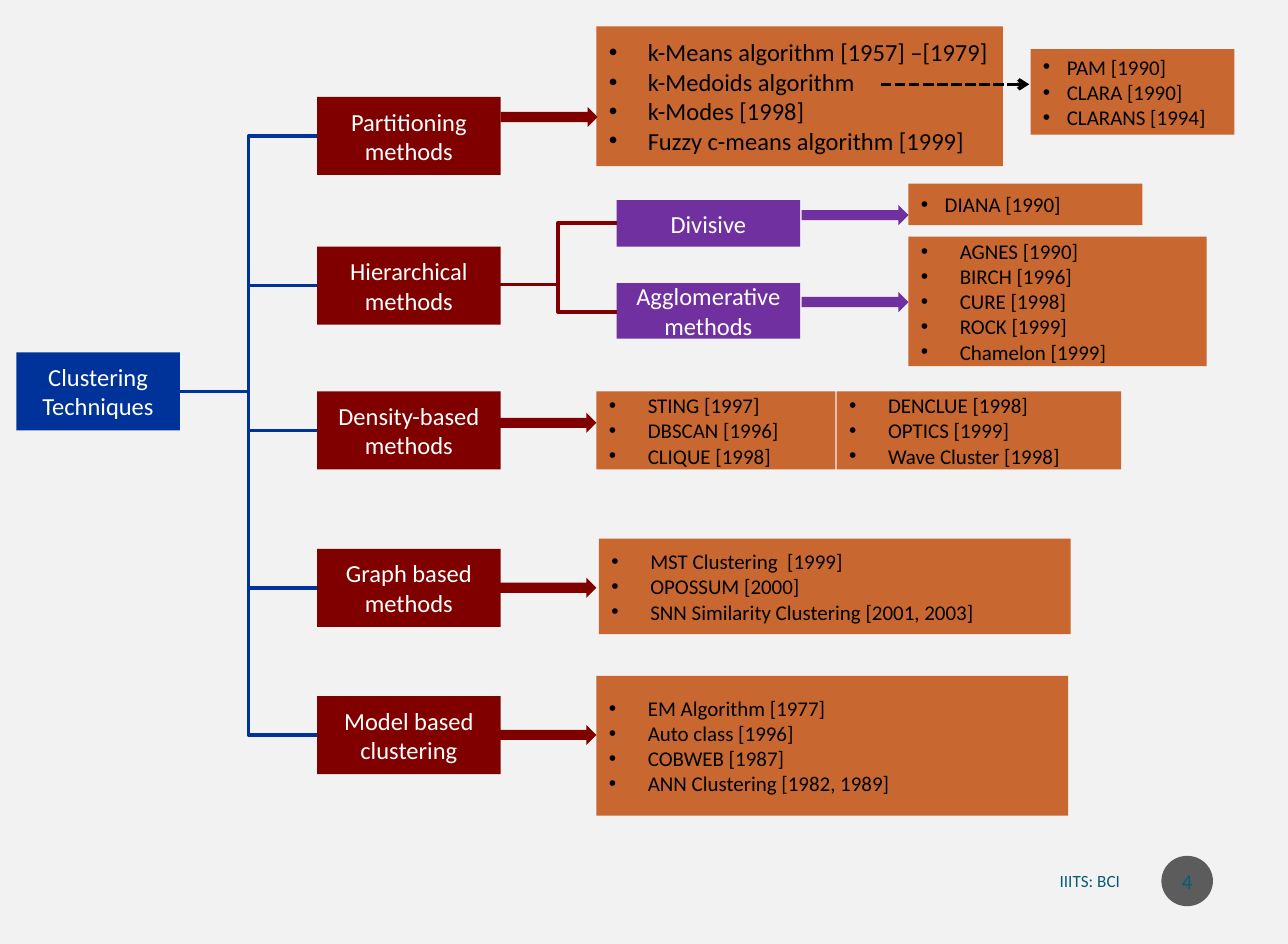
import pptx
import pptx.util
import pptx.dml.color
import pptx.enum.dml
import pptx.enum.shapes
import pptx.enum.text
import pptx.oxml.ns
import lxml.etree

Inches, Pt, qn = pptx.util.Inches, pptx.util.Pt, pptx.oxml.ns.qn
RGBColor = pptx.dml.color.RGBColor
MSO_SHAPE = pptx.enum.shapes.MSO_SHAPE
MSO_CONNECTOR = pptx.enum.shapes.MSO_CONNECTOR
PP_ALIGN = pptx.enum.text.PP_ALIGN

PAGE = RGBColor(0xF2, 0xF2, 0xF2)
BLUE = RGBColor(0x00, 0x33, 0x99)
MAROON = RGBColor(0x80, 0x00, 0x00)
PURPLE = RGBColor(0x70, 0x30, 0xA0)
ORANGE = RGBColor(0xC9, 0x67, 0x31)
TEAL = RGBColor(0x04, 0x5D, 0x75)
DARK = RGBColor(0x1D, 0x1D, 0x1D)
WHITE = RGBColor(0xFF, 0xFF, 0xFF)
BLACK = RGBColor(0x00, 0x00, 0x00)

# The page is 26 cm wide
prs = pptx.Presentation()
prs.slide_width, prs.slide_height = Inches(26 / 2.54), Inches(7.5)
s = prs.slides.add_slide(prs.slide_layouts[6])
s.background.fill.solid()
s.background.fill.fore_color.rgb = PAGE


def add_box(kind, at, fill, lines=(), size=14, color=WHITE, indent=None):
    """Add a filled shape; an indent turns its lines into a bulleted list."""
    sp = s.shapes.add_shape(kind, *map(Inches, at))
    sp.shadow.inherit = False
    sp.fill.solid()
    sp.fill.fore_color.rgb = fill
    sp.line.fill.background()
    tf = sp.text_frame
    tf.word_wrap = True
    for i, line in enumerate(lines):
        p = tf.add_paragraph() if i else tf.paragraphs[0]
        p.alignment = PP_ALIGN.LEFT if indent else PP_ALIGN.CENTER
        if indent:
            pPr = p._p.get_or_add_pPr()
            pPr.set("marL", str(Inches(indent)))
            pPr.set("indent", str(-Inches(indent)))
            lxml.etree.SubElement(pPr, qn("a:buFont")).set("typeface", "Arial")
            lxml.etree.SubElement(pPr, qn("a:buChar")).set("char", "•")
        r = p.add_run()
        r.text = line
        r.font.name, r.font.size = "Calibri", Pt(size)
        r.font.color.rgb = color
    return sp


def add_line(kind, start, end, color):
    """Add a 2 pt connector without a shadow."""
    cx = s.shapes.add_connector(kind, *map(Inches, start + end))
    cx.line.color.rgb = color
    cx.line.width = Pt(2)
    lxml.etree.SubElement(cx._element.spPr, qn("a:effectLst"))
    return cx


# Footer and slide number
tb = s.shapes.add_textbox(Inches(6.69), Inches(6.82), Inches(2.31), Inches(0.35))
tf = tb.text_frame
tf.word_wrap = True
tf.vertical_anchor = pptx.enum.text.MSO_ANCHOR.MIDDLE
p = tf.paragraphs[0]
p.alignment = PP_ALIGN.RIGHT
r = p.add_run()
r.text = "IIITS: BCI"
r.font.name, r.font.size = "Calibri", Pt(9.8)
r.font.color.rgb = TEAL

badge = add_box(MSO_SHAPE.OVAL, (9.23, 6.8, 0.41, 0.4), DARK, ["4"], 12, TEAL)
badge.text_frame.margin_left = badge.text_frame.margin_right = 0
badge_color = badge._element.spPr.find(qn("a:solidFill")).find(qn("a:srgbClr"))
lxml.etree.SubElement(badge_color, qn("a:alpha")).set("val", "70000")

# Root and the five method families
add_box(MSO_SHAPE.RECTANGLE, (0.13, 2.8, 1.3, 0.62), BLUE, ["Clustering Techniques"])
families = [
    ("Partitioning methods", 0.77),
    ("Hierarchical methods", 1.96),
    ("Density-based methods", 3.11),
    ("Graph based methods", 4.36),
    ("Model based clustering", 5.53),
]
for name, top in families:
    add_box(MSO_SHAPE.RECTANGLE, (2.52, top, 1.46, 0.62), MAROON, [name])

# Hierarchical branches
for name, top, height in [("Divisive", 1.59, 0.37), ("Agglomerative methods", 2.25, 0.44)]:
    add_box(MSO_SHAPE.RECTANGLE, (4.9, top, 1.46, height), PURPLE, [name])

# Algorithm lists: position, text size, indent, items
algorithms = [
    ((4.74, 0.21, 3.23, 1.11), 14, 0.31,
     ["k-Means algorithm [1957] –[1979]", "k-Medoids algorithm",
      "k-Modes [1998]", "Fuzzy c-means algorithm [1999]"]),
    ((4.74, 3.11, 1.9, 0.62), 12, 0.31,
     ["STING [1997]", "DBSCAN [1996]", "CLIQUE [1998]"]),
    ((6.65, 3.11, 2.26, 0.62), 12, 0.31,
     ["DENCLUE [1998]", "OPTICS [1999]", "Wave Cluster [1998]"]),
    ((4.76, 4.28, 3.75, 0.76), 12, 0.31,
     ["MST Clustering  [1999]", "OPOSSUM [2000]",
      "SNN Similarity Clustering [2001, 2003]"]),
    ((4.74, 5.37, 3.75, 1.11), 12, 0.31,
     ["EM Algorithm [1977]", "Auto class [1996]", "COBWEB [1987]",
      "ANN Clustering [1982, 1989]"]),
    ((7.22, 1.88, 2.37, 1.03), 12, 0.31,
     ["AGNES [1990]", "BIRCH [1996]", "CURE [1998]", "ROCK [1999]",
      "Chamelon [1999]"]),
    ((7.22, 1.46, 1.86, 0.33), 12, 0.19, ["DIANA [1990]"]),
    ((8.19, 0.39, 1.62, 0.68), 12, 0.19,
     ["PAM [1990]", "CLARA [1990]", "CLARANS [1994]"]),
]
for at, size, indent, items in algorithms:
    add_box(MSO_SHAPE.RECTANGLE, at, ORANGE, items, size, BLACK, indent)

# Tree lines: elbows to the outer families, straight stubs to the inner ones
for i, (name, top) in enumerate(families):
    middle = top + 0.31
    if i in (0, len(families) - 1):
        add_line(MSO_CONNECTOR.ELBOW, (1.43, 3.11), (2.52, middle), BLUE)
    else:
        add_line(MSO_CONNECTOR.STRAIGHT, (1.97, middle), (2.52, middle), BLUE)
for y in (1.77, 2.48):
    add_line(MSO_CONNECTOR.ELBOW, (3.97, 2.26), (4.9, y), MAROON)

# Block arrows
for left, top, width, color in [
    (6.37, 1.63, 0.85, PURPLE),
    (6.37, 2.32, 0.85, PURPLE),
    (3.98, 0.85, 0.77, MAROON),
    (3.97, 3.28, 0.77, MAROON),
    (3.97, 4.59, 0.77, MAROON),
    (3.97, 5.76, 0.77, MAROON),
]:
    add_box(MSO_SHAPE.RIGHT_ARROW, (left, top, width, 0.16), color)

# Dashed arrow from k-Medoids to its variants
dashed = add_line(MSO_CONNECTOR.STRAIGHT, (7, 0.67), (8.18, 0.67), BLACK)
dashed.line.dash_style = pptx.enum.dml.MSO_LINE.SQUARE_DOT
ln = dashed._element.spPr.find(qn("a:ln"))
lxml.etree.SubElement(ln, qn("a:tailEnd")).set("type", "arrow")

prs.save("out.pptx")
